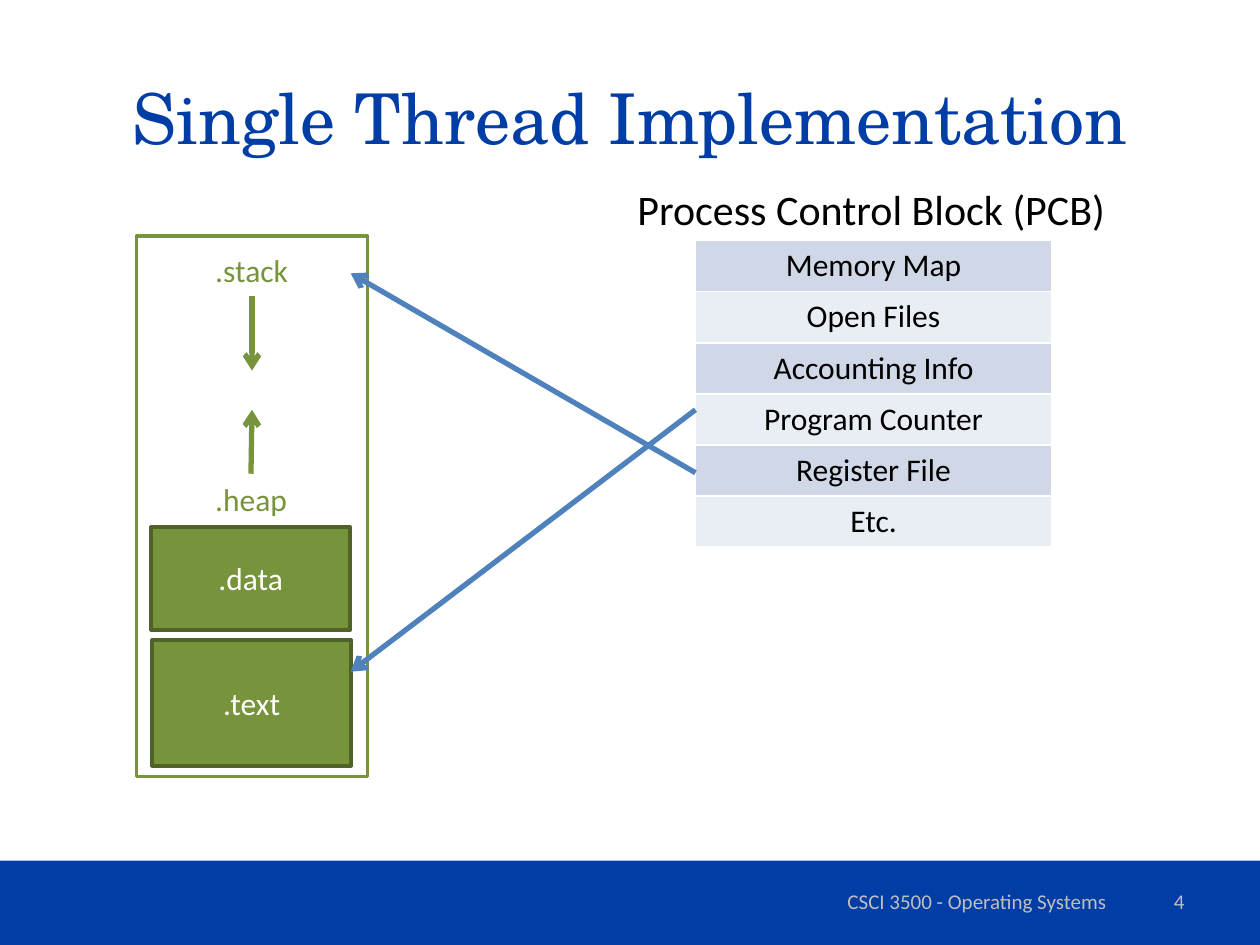
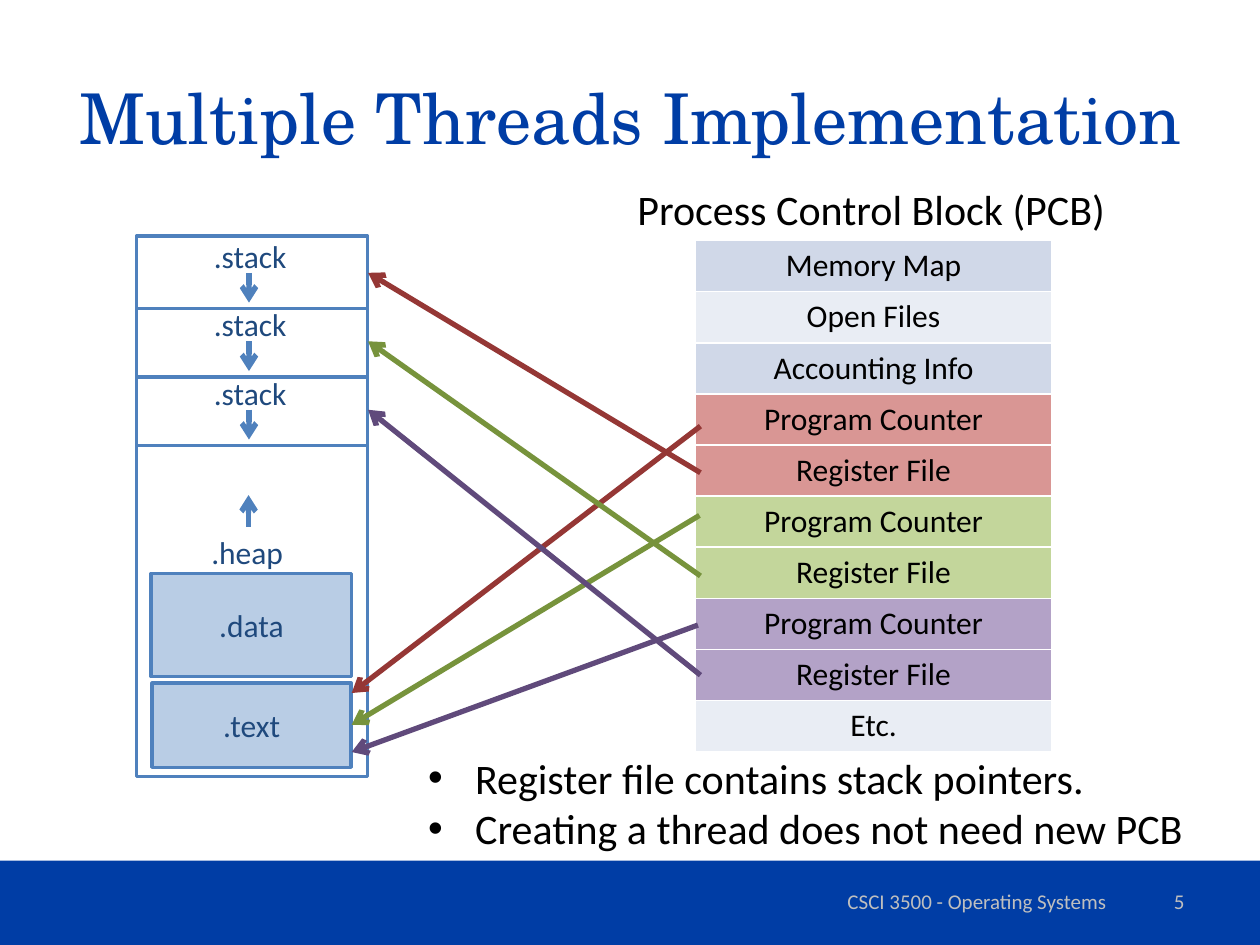
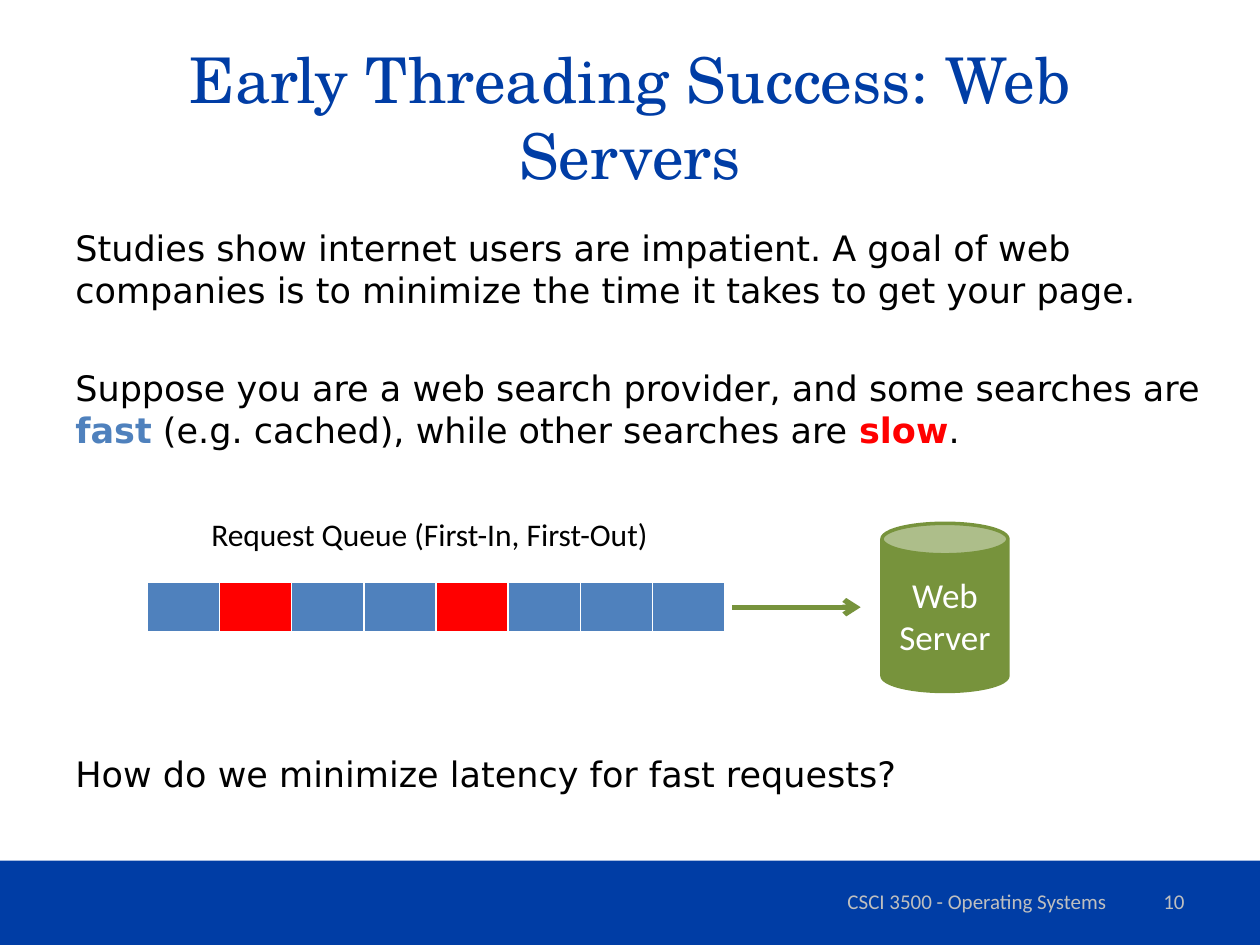
from dataclasses import dataclass
from typing import Iterable, Optional

from lxml.etree import SubElement
from pptx import Presentation
from pptx.dml.color import RGBColor
from pptx.enum.shapes import MSO_CONNECTOR as Connector, MSO_SHAPE as Preset
from pptx.enum.text import MSO_ANCHOR as Anchor, PP_ALIGN as Align
from pptx.oxml.ns import qn
from pptx.util import Cm, Pt

BODY_FONT, TITLE_FONT, PROSE_FONT = "Calibri", "TeX Gyre Schola", "DejaVu Sans"
NAVY, WHITE, BLACK, GREY = "003DA5", "FFFFFF", "000000", "BFBFBF"
GREEN, DARK_GREEN = "77933C", "4F6228"
BLUE, DARK_BLUE, PALE_BLUE = "4F81BD", "1F497D", "B9CDE5"
RED, DARK_RED, PURPLE = "FF0000", "953735", "604A7B"
BAND_DARK, BAND_LIGHT = "D0D8E8", "E9EDF4"
ROW_HEIGHT = 1.03
STACK_STEP = 1.38


@dataclass(frozen=True)
class Area:
    """A rectangle in centimetres."""
    left: float
    top: float
    width: float
    height: float

    def lengths(self) -> tuple:
        return Cm(self.left), Cm(self.top), Cm(self.width), Cm(self.height)


@dataclass(frozen=True)
class Style:
    size: float = 18
    color: str = BLACK
    font: str = BODY_FONT
    bold: bool = False


@dataclass(frozen=True)
class Line:
    """A straight line in centimetres, by default with an arrowhead at its end."""
    x1: float
    y1: float
    x2: float
    y2: float
    color: str
    width: float = 3
    arrow: bool = True


@dataclass(frozen=True)
class Block:
    area: Area
    line: str
    fill: Optional[str] = None
    text: str = ""
    style: Style = Style()
    preset: Preset = Preset.RECTANGLE


@dataclass(frozen=True)
class Field:
    text: str
    fill: str


@dataclass(frozen=True)
class Thread:
    color: str
    row_fill: str
    register_y: float
    counter_x: float
    counter_y: float
    code_y: float


PCB_HEAD = [Field("Memory Map", BAND_DARK), Field("Open Files", BAND_LIGHT),
            Field("Accounting Info", BAND_DARK)]
PCB_END = [Field("Etc.", BAND_LIGHT)]
THREADS = [
    Thread(DARK_RED, "D99694", 9.53, 14.12, 8.59, 13.97),
    Thread(GREEN, "C3D69B", 11.61, 14.1, 10.39, 14.61),
    Thread(PURPLE, "B3A2C7", 13.61, 14.07, 12.6, 15.16),
]
MEMORY = Area(2.75, 4.76, 4.66, 10.9)
MEMORY_RIGHT = 7.42


def rgb(color: str) -> RGBColor:
    return RGBColor.from_string(color)


def set_font(font, style: Style) -> None:
    font.name = style.font
    font.size = Pt(style.size)
    font.bold = style.bold
    font.color.rgb = rgb(style.color)


def add_bullet(paragraph, indent: float) -> None:
    properties = paragraph._p.get_or_add_pPr()
    properties.set("marL", str(Cm(indent)))
    properties.set("indent", str(-Cm(indent)))
    SubElement(properties, qn("a:buFont"), typeface="Arial")
    SubElement(properties, qn("a:buChar"), char="•")


def add_text(slide, area: Area, lines: Iterable[str], style: Style,
             align: Align = Align.LEFT, anchor: Anchor = Anchor.TOP,
             wrap: bool = False, bullet_indent: float = 0) -> None:
    frame = slide.shapes.add_textbox(*area.lengths()).text_frame
    frame.word_wrap = wrap
    frame.vertical_anchor = anchor
    frame.text = "\n".join(lines)
    for paragraph in frame.paragraphs:
        if bullet_indent:
            add_bullet(paragraph, bullet_indent)
        paragraph.alignment = align
        set_font(paragraph.font, style)


def add_block(slide, block: Block) -> None:
    shape = slide.shapes.add_shape(block.preset, *block.area.lengths())
    shape.shadow.inherit = False
    if block.fill:
        shape.fill.solid()
        shape.fill.fore_color.rgb = rgb(block.fill)
    else:
        shape.fill.background()
    shape.line.color.rgb = rgb(block.line)
    shape.line.width = Pt(2)
    if block.text:
        frame = shape.text_frame
        frame.text = block.text
        frame.vertical_anchor = Anchor.MIDDLE
        frame.paragraphs[0].alignment = Align.CENTER
        set_font(frame.paragraphs[0].font, block.style)


def add_line(slide, line: Line) -> None:
    connector = slide.shapes.add_connector(
        Connector.STRAIGHT, Cm(line.x1), Cm(line.y1), Cm(line.x2), Cm(line.y2))
    connector.line.color.rgb = rgb(line.color)
    connector.line.width = Pt(line.width)
    if line.arrow:
        SubElement(connector.line._get_or_add_ln(), qn("a:tailEnd"), type="arrow")
    SubElement(connector._element.spPr, qn("a:effectLst"))


def style_cell(cell, fill: str, bottom: float = 1) -> None:
    """Give a cell white borders and a solid fill."""
    properties = cell._tc.get_or_add_tcPr()
    for side, width in (("L", 1), ("R", 1), ("T", 1), ("B", bottom)):
        border = SubElement(properties, qn(f"a:ln{side}"), w=str(Pt(width)))
        SubElement(SubElement(border, qn("a:solidFill")), qn("a:srgbClr"), val=WHITE)
    cell.fill.solid()
    cell.fill.fore_color.rgb = rgb(fill)


def new_table(slide, rows: int, columns: int, area: Area):
    table = slide.shapes.add_table(rows, columns, *area.lengths()).table
    table.first_row = table.horz_banding = False
    return table


def add_pcb(slide, fields: list[Field]) -> None:
    """Draw the process control block with its heading."""
    area = Area(14.02, 4.85, 7.18, ROW_HEIGHT * len(fields))
    table = new_table(slide, len(fields), 1, area)
    for cell, field in zip(table.iter_cells(), fields):
        cell.text = field.text
        style_cell(cell, field.fill)
        paragraph = cell.text_frame.paragraphs[0]
        paragraph.alignment = Align.CENTER
        set_font(paragraph.font, Style())
    add_text(slide, Area(12.6, 3.58, 10.01, 1.27), ["Process Control Block (PCB)"], Style(24))


def add_segment_label(slide, text: str, left: float, top: float, color: str) -> None:
    add_text(slide, Area(left, top, 1.98, 1.03), [text], Style(color=color))


def new_slide(deck, title: str, number: int, title_size: float = 40):
    """Add a slide with the title, the band and the footer."""
    slide = deck.slides.add_slide(deck.slide_layouts[6])
    band = slide.shapes.add_shape(Preset.RECTANGLE, *Area(0, 17.35, 25.4, 1.7).lengths())
    band.shadow.inherit = False
    band.fill.solid()
    band.fill.fore_color.rgb = rgb(NAVY)
    band.line.fill.background()
    footer = Style(12, GREY)
    for area, text, style, align in (
        (Area(1.27, 0.76, 22.86, 3.18), title, Style(title_size, NAVY, TITLE_FONT), Align.CENTER),
        (Area(15.67, 17.65, 8.05, 1.02), "CSCI 3500 - Operating Systems", footer, Align.CENTER),
        (Area(18.21, 17.65, 5.92, 1.02), str(number), footer, Align.RIGHT),
    ):
        add_text(slide, area, [text], style, align, Anchor.MIDDLE, wrap=True)
    return slide


def build_single_thread(deck) -> None:
    slide = new_slide(deck, "Single Thread Implementation", 4)
    segment = Style(color=WHITE)
    add_block(slide, Block(MEMORY, GREEN))
    add_segment_label(slide, ".heap", 4.09, 9.55, GREEN)
    add_segment_label(slide, ".stack", 4.09, 4.93, GREEN)
    add_line(slide, Line(5.06, 9.55, 5.08, 8.26, GREEN))
    add_line(slide, Line(5.08, 5.97, 5.08, 7.47, GREEN))
    add_block(slide, Block(Area(3.07, 12.9, 4.01, 2.54), DARK_GREEN, GREEN, ".text", segment))
    add_block(slide, Block(Area(3.05, 10.62, 4.01, 2.08), DARK_GREEN, GREEN, ".data", segment))
    add_pcb(slide, PCB_HEAD + [Field("Program Counter", BAND_LIGHT),
                               Field("Register File", BAND_DARK)] + PCB_END)
    add_line(slide, Line(14.02, 9.53, 7.07, 5.51, BLUE))
    add_line(slide, Line(14.02, 8.26, 7.07, 13.54, BLUE))


def build_multiple_threads(deck) -> None:
    slide = new_slide(deck, "Multiple Threads Implementation", 5)
    segment = Style(color=DARK_BLUE)
    add_block(slide, Block(MEMORY, BLUE))
    add_segment_label(slide, ".heap", 4.01, 10.62, DARK_BLUE)
    add_line(slide, Line(5.01, 10.62, 5.01, 9.98, BLUE))
    add_block(slide, Block(Area(3.07, 13.77, 4.01, 1.7), BLUE, PALE_BLUE, ".text", segment))
    add_block(slide, Block(Area(3.05, 11.56, 4.04, 2.08), BLUE, PALE_BLUE, ".data", segment))
    thread_fields = [Field(text, thread.row_fill) for thread in THREADS
                     for text in ("Program Counter", "Register File")]
    add_pcb(slide, PCB_HEAD + thread_fields + PCB_END)
    for index, thread in enumerate(THREADS):
        shift = index * STACK_STEP
        add_segment_label(slide, ".stack", 4.06, 4.65 + shift, DARK_BLUE)
        add_line(slide, Line(5.02, 5.5 + shift, 5.02, 6.1 + shift, BLUE))
        add_line(slide, Line(MEMORY.left, 6.22 + shift, MEMORY_RIGHT, 6.22 + shift,
                             BLUE, 2, arrow=False))
        add_line(slide, Line(14.12, thread.register_y, MEMORY_RIGHT, 5.5 + shift, thread.color))
        add_line(slide, Line(thread.counter_x, thread.counter_y, 7.09, thread.code_y,
                             thread.color))
    add_text(slide, Area(8.38, 15.04, 15.88, 2.31),
             ["Register file contains stack pointers.",
              "Creating a thread does not need new PCB"],
             Style(24), bullet_indent=0.95)


def add_prose(slide) -> None:
    frame = slide.shapes.add_textbox(*Area(1.27, 4.45, 23.29, 12.57).lengths()).text_frame
    frame.word_wrap = True
    prose = (
        (0, [("Studies show internet users are impatient. A goal of web companies "
              "is to minimize the time it takes to get your page.", None)]),
        (32, [("Suppose you are a web search provider, and some searches are ", None),
              ("fast", BLUE), (" (e.g. cached), while other searches are ", None),
              ("slow", RED), (".", None)]),
        (172, [("How do we minimize latency for fast requests?", None)]),
    )
    for index, (space, pieces) in enumerate(prose):
        paragraph = frame.add_paragraph() if index else frame.paragraphs[0]
        paragraph.space_before = Pt(space)
        set_font(paragraph.font, Style(20, font=PROSE_FONT))
        for text, accent in pieces:
            run = paragraph.add_run()
            run.text = text
            set_font(run.font, Style(20, accent or BLACK, PROSE_FONT, bool(accent)))


def build_web_servers(deck) -> None:
    slide = new_slide(deck, "Early Threading Success: Web Servers", 10, 36)
    add_prose(slide)
    requests = [BLUE, RED, BLUE, BLUE, RED, BLUE, BLUE, BLUE]
    queue = new_table(slide, 1, len(requests), Area(2.97, 11.74, 11.64, ROW_HEIGHT))
    for cell, color in zip(queue.iter_cells(), requests):
        style_cell(cell, color, bottom=3)
    add_text(slide, Area(4.01, 10.26, 9.45, 1.03),
             ["Request Queue (First-In, First-Out)"], Style())
    add_line(slide, Line(14.76, 12.24, 17.35, 12.24, GREEN))
    add_block(slide, Block(Area(17.78, 10.55, 2.54, 3.39), GREEN, GREEN, "Web\vServer",
                           Style(20, WHITE), Preset.CAN))


def main() -> None:
    deck = Presentation()
    deck.slide_width, deck.slide_height = Cm(25.4), Cm(19.05)
    build_single_thread(deck)
    build_multiple_threads(deck)
    build_web_servers(deck)
    deck.save("out.pptx")


if __name__ == "__main__":
    main()
